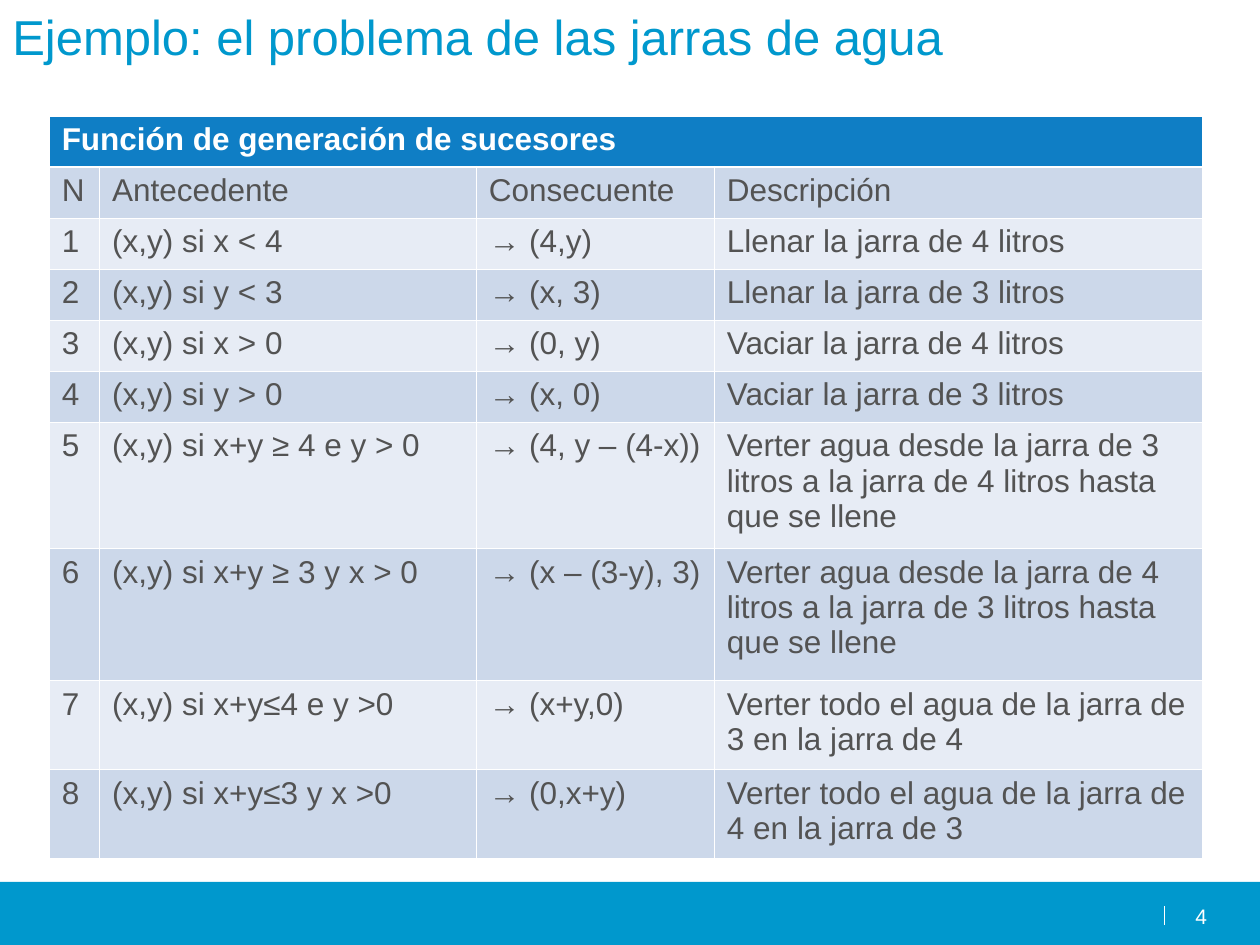
import pptx
import pptx.util
import pptx.dml.color
import pptx.enum.shapes
import pptx.enum.text
import pptx.oxml
import pptx.oxml.ns

theme = dict(
    font="Arial",
    blue="0098CD", head="0F7EC5", ink="535353", white="FFFFFF",
    bands=("CCD8EA", "E7ECF5"),
    title=28, body=18, foot=12,
    thin=0.45, thick=1.47, rule=0.75,
)

deck = pptx.Presentation()
deck.slide_width = pptx.util.Inches(10)
deck.slide_height = pptx.util.Inches(7.5)
slide = deck.slides.add_slide(deck.slide_layouts[6])
shapes = slide.shapes
rgb = pptx.dml.color.RGBColor.from_string

# Square grid: 100 columns by 75 rows
unit = deck.slide_width / 100


def grid(*spans):
    return [round(span * unit) for span in spans]


def write(frame, text, size=theme["body"], color=theme["ink"], bold=False,
          align="LEFT", pad=(1, 0.5)):
    frame.word_wrap = True
    frame.margin_left = frame.margin_right = grid(pad[0])[0]
    frame.margin_top = frame.margin_bottom = grid(pad[1])[0]
    para = frame.paragraphs[0]
    para.alignment = getattr(pptx.enum.text.PP_ALIGN, align)
    run = para.add_run()
    run.text = text
    run.font.name = theme["font"]
    run.font.size = pptx.util.Pt(size)
    run.font.bold = bold
    run.font.color.rgb = rgb(color)


# Footer band and its divider
band = shapes.add_shape(pptx.enum.shapes.MSO_SHAPE.RECTANGLE, *grid(0, 70, 100, 5))
band.shadow.inherit = False
band.fill.solid()
band.fill.fore_color.rgb = rgb(theme["blue"])
band.line.fill.background()

rule = shapes.add_connector(
    pptx.enum.shapes.MSO_CONNECTOR.STRAIGHT, *grid(92.4, 73.4, 92.4, 71.9))
rule.line.color.rgb = rgb(theme["white"])
rule.line.width = pptx.util.Pt(theme["rule"])
rule._element.spPr.append(pptx.oxml.parse_xml(
    f'<a:effectLst {pptx.oxml.ns.nsdecls("a")}/>'))

# Title and page number
title = shapes.add_textbox(*grid(0, 0, 90, 12.5))
write(title.text_frame, "Ejemplo: el problema de las jarras de agua",
      size=theme["title"], color=theme["blue"])
page = shapes.add_textbox(*grid(92.8, 71.7, 3, 1.9))
write(page.text_frame, "4", size=theme["foot"], color=theme["white"],
      align="RIGHT", pad=(0, 0))

# Table of successor rules
rows = [
    ("Función de generación de sucesores", "", "", ""),
    ("N", "Antecedente", "Consecuente", "Descripción"),
    ("1", "(x,y) si x < 4", "→ (4,y)", "Llenar la jarra de 4 litros"),
    ("2", "(x,y) si y < 3", "→ (x, 3)", "Llenar la jarra de 3 litros"),
    ("3", "(x,y) si x > 0", "→ (0, y)", "Vaciar la jarra de 4 litros"),
    ("4", "(x,y) si y > 0", "→ (x, 0)", "Vaciar la jarra de 3 litros"),
    ("5", "(x,y) si x+y ≥ 4 e y > 0", "→ (4, y – (4-x))",
     "Verter agua desde la jarra de 3 litros a la jarra de 4 litros hasta que se llene"),
    ("6", "(x,y) si x+y ≥ 3 y x > 0", "→ (x – (3-y), 3)",
     "Verter agua desde la jarra de 4 litros a la jarra de 3 litros hasta que se llene"),
    ("7", "(x,y) si x+y≤4 e y >0", "→ (x+y,0)",
     "Verter todo el agua de la jarra de 3 en la jarra de 4"),
    ("8", "(x,y) si x+y≤3 y x >0", "→ (0,x+y)",
     "Verter todo el agua de la jarra de 4 en la jarra de 3"),
]
wide = grid(4, 29.9, 18.9, 38.7)
tall = grid(*[4.05] * 6, 10.05, 10.5, 7.05, 7.05)

table = shapes.add_table(
    len(rows), len(wide), *grid(3.9, 9.2), sum(wide), sum(tall)).table
for col, width in zip(table.columns, wide):
    col.width = width
for row, height in zip(table.rows, tall):
    row.height = height
table.cell(0, 0).merge(table.cell(0, len(wide) - 1))

for r, row in enumerate(rows):
    for c, text in enumerate(row):
        cell = table.cell(r, c)
        # White borders, thicker under the heading
        for side in "LRTB":
            thick = (r, side) in ((0, "B"), (1, "T"))
            width = pptx.util.Pt(theme["thick" if thick else "thin"])
            cell._tc.get_or_add_tcPr().append(pptx.oxml.parse_xml(
                f'<a:ln{side} {pptx.oxml.ns.nsdecls("a")} w="{int(width)}">'
                f'<a:solidFill><a:srgbClr val="{theme["white"]}"/></a:solidFill>'
                f'</a:ln{side}>'))
        cell.fill.solid()
        cell.fill.fore_color.rgb = rgb(theme["bands"][(r + 1) % 2] if r else theme["head"])
        if text:
            cell.margin_left = cell.margin_right = grid(1)[0]
            cell.margin_top = cell.margin_bottom = grid(0.5)[0]
            write(cell.text_frame, text, bold=r == 0,
                  color=theme["ink"] if r else theme["white"])

deck.save("out.pptx")
